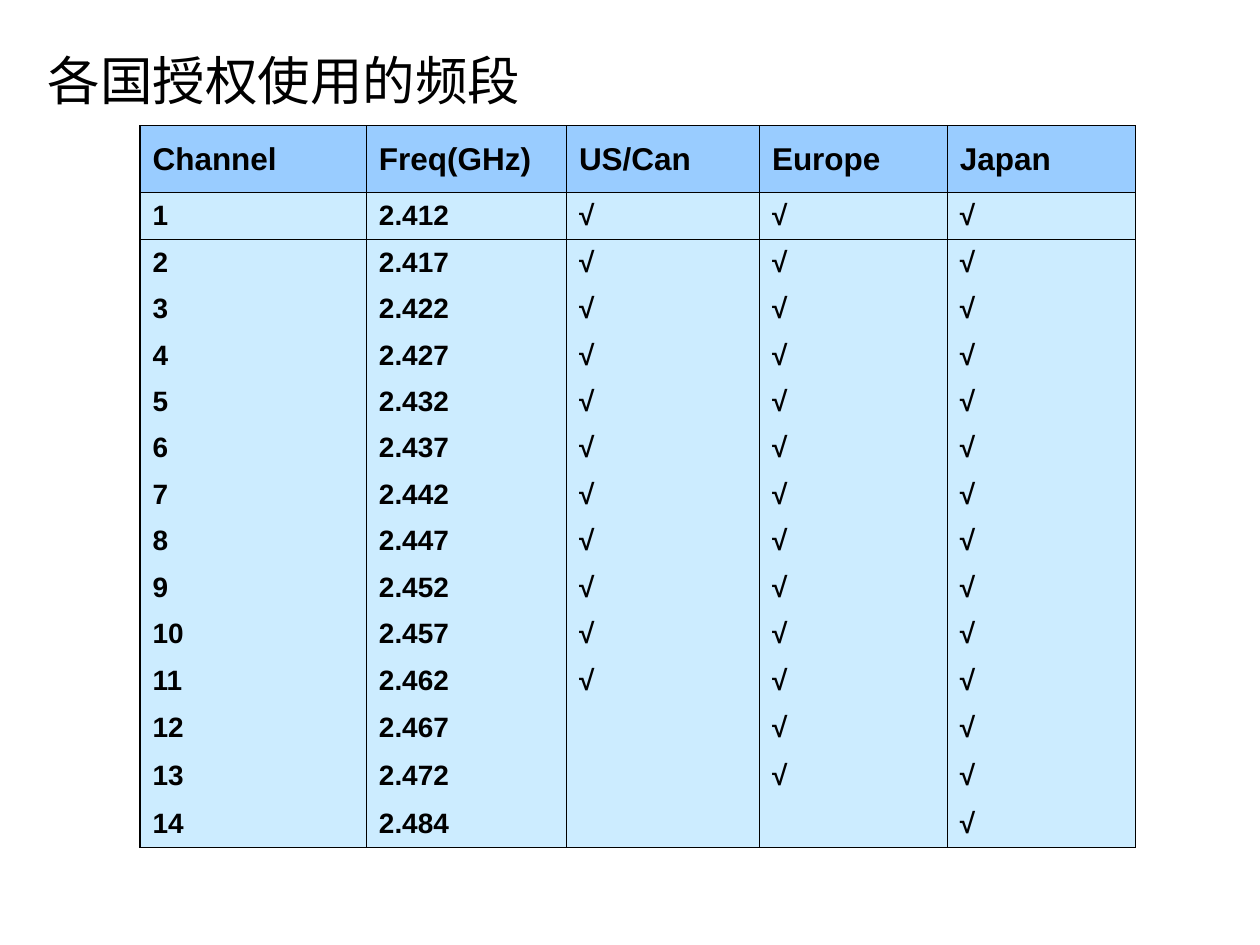
from dataclasses import dataclass

from pptx import Presentation
from pptx.dml.color import RGBColor
from pptx.enum.text import MSO_ANCHOR
from pptx.oxml.ns import qn
from pptx.util import Pt
from lxml.etree import SubElement


@dataclass(frozen=True)
class Theme:
    ink: str = "000000"
    header_fill: str = "99CCFF"
    body_fill: str = "CCECFF"
    title_font: str = "Noto Sans CJK SC"
    table_font: str = "Arial"
    title_size: float = 30
    header_size: float = 18
    body_size: float = 16
    border_width: float = 0.75


@dataclass(frozen=True)
class Column:
    heading: str
    width: float
    last_channel: int = 14


@dataclass(frozen=True)
class CellStyle:
    fill: str
    size: float
    borders: str


THEME = Theme()
NO_TABLE_STYLE = "{2D5ABB26-0587-4C30-8999-92F81FD0307C}"
CHANNELS = range(1, 15)
COLUMNS = [
    Column("Channel", 129.4),
    Column("Freq(GHz)", 114.3),
    Column("US/Can", 110.3, last_channel=11),
    Column("Europe", 107.4, last_channel=13),
    Column("Japan", 107.6),
]
HEADER_HEIGHT = 38.3
ROW_HEIGHT = 26.57
TALL_ROW_HEIGHT = 27.43


def frequency(channel: int) -> str:
    """Channels are 5 MHz apart, apart from the last one."""
    return "2.484" if channel == 14 else f"{2.407 + 0.005 * channel:.3f}"


def channel_row(channel: int) -> list[str]:
    marks = ["√" if channel <= column.last_channel else "" for column in COLUMNS[2:]]
    return [str(channel), frequency(channel), *marks]


def add_span(para, text: str, font: str, size: float, bold: bool = False) -> None:
    span = para.add_run()
    span.text = text
    span.font.name = font
    span.font.size = Pt(size)
    span.font.bold = bold
    span.font.color.rgb = RGBColor.from_string(THEME.ink)
    SubElement(span.font._element, qn("a:ea"), typeface=font)


def add_border(cell, side: str) -> None:
    line = SubElement(cell._tc.get_or_add_tcPr(), qn(f"a:ln{side}"),
                      w=str(Pt(THEME.border_width)))
    fill = SubElement(line, qn("a:solidFill"))
    SubElement(fill, qn("a:srgbClr"), val=THEME.ink)


def fill_cell(cell, text: str, style: CellStyle) -> None:
    for side in style.borders:
        add_border(cell, side)
    cell.fill.solid()
    cell.fill.fore_color.rgb = RGBColor.from_string(style.fill)
    cell.vertical_anchor = MSO_ANCHOR.MIDDLE
    cell.margin_left = cell.margin_right = Pt(7.2)
    cell.margin_top = cell.margin_bottom = Pt(3.6)
    para = cell.text_frame.paragraphs[0]
    if text:
        add_span(para, text, THEME.table_font, style.size, bold=True)
    else:
        # Keeps an empty cell from stretching its row
        SubElement(para._p, qn("a:endParaRPr"), sz=str(int(style.size * 100)))


def add_title(page, text: str) -> None:
    box = page.shapes.add_textbox(Pt(23.8), Pt(20.2), Pt(671), Pt(51))
    frame = box.text_frame
    frame.word_wrap = True
    frame.vertical_anchor = MSO_ANCHOR.MIDDLE
    frame.margin_left = frame.margin_right = Pt(3.6)
    frame.margin_top = frame.margin_bottom = Pt(3.6)
    add_span(frame.paragraphs[0], text, THEME.title_font, THEME.title_size)


def add_channel_table(page) -> None:
    rows = [[column.heading for column in COLUMNS], *map(channel_row, CHANNELS)]
    heights = [HEADER_HEIGHT] + [
        ROW_HEIGHT if channel <= 11 else TALL_ROW_HEIGHT for channel in CHANNELS]
    width = sum(column.width for column in COLUMNS)
    frame = page.shapes.add_table(len(rows), len(COLUMNS), Pt(80), Pt(71.8),
                                  Pt(width), Pt(sum(heights)))
    table = frame.table
    table.first_row = table.horz_banding = False
    table._tbl.tblPr.find(qn("a:tableStyleId")).text = NO_TABLE_STYLE

    for index, column in enumerate(COLUMNS):
        table.columns[index].width = Pt(column.width)

    # Horizontal rules only around the header and below the last channel
    header = CellStyle(THEME.header_fill, THEME.header_size, "LRTB")
    first = CellStyle(THEME.body_fill, THEME.body_size, "LRT")
    middle = CellStyle(THEME.body_fill, THEME.body_size, "LR")
    last = CellStyle(THEME.body_fill, THEME.body_size, "LRB")
    styles = [header, first, *[middle] * (len(rows) - 3), last]
    for row, texts, height, style in zip(table.rows, rows, heights, styles):
        row.height = Pt(height)
        for cell, text in zip(row.cells, texts):
            fill_cell(cell, text, style)


def main() -> None:
    deck = Presentation()
    deck.slide_width, deck.slide_height = Pt(720), Pt(540)
    page = deck.slides.add_slide(deck.slide_layouts[6])
    add_title(page, "各国授权使用的频段")
    add_channel_table(page)
    deck.save("out.pptx")


if __name__ == "__main__":
    main()
